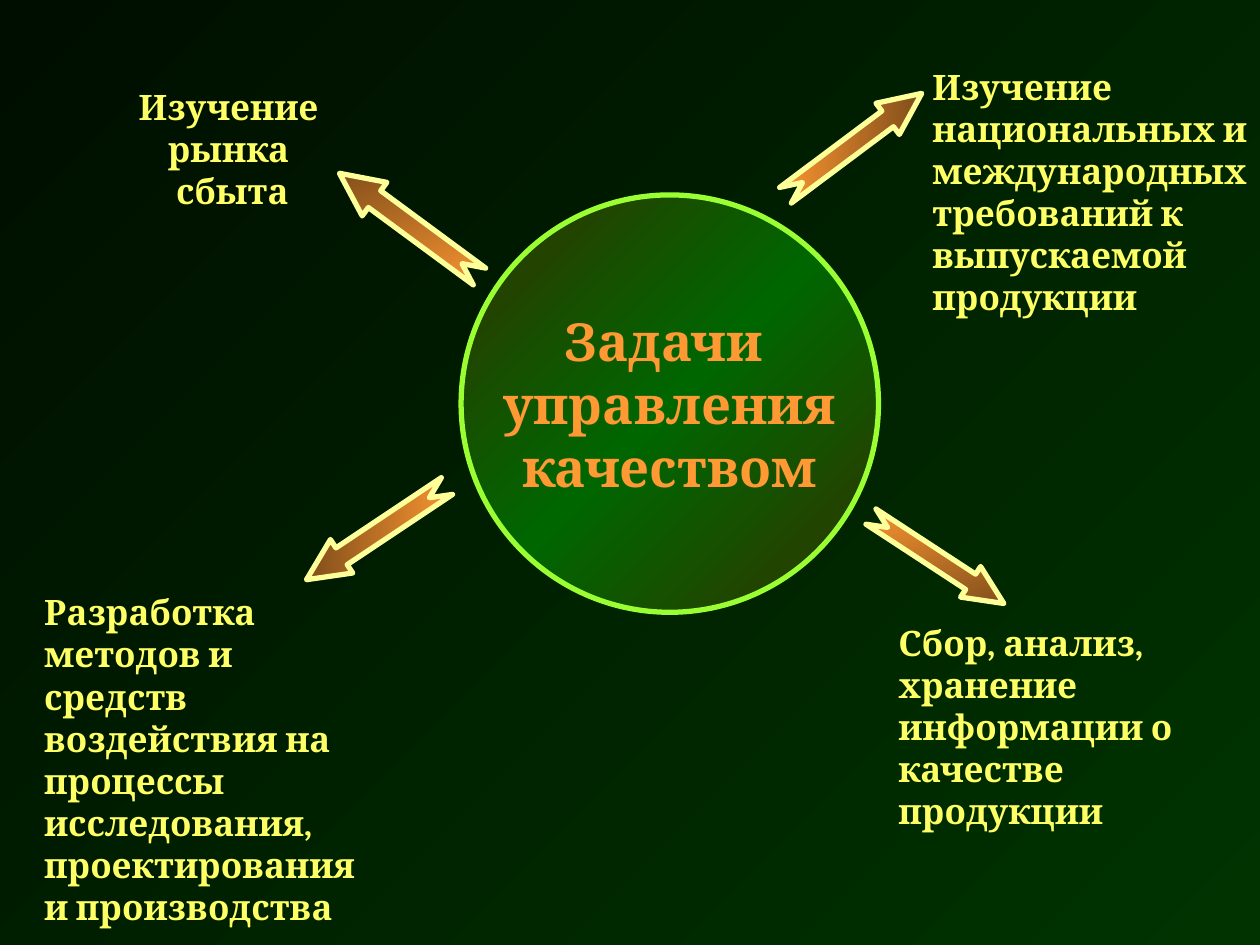
import copy

import pptx
import pptx.dml.color
import pptx.enum.shapes
import pptx.enum.text
import pptx.oxml.ns
import pptx.util

Pt = pptx.util.Pt
SHAPE = pptx.enum.shapes.MSO_SHAPE
ALIGN = pptx.enum.text.PP_ALIGN
ANCHOR = pptx.enum.text.MSO_ANCHOR

TASKS = [
    (532.8, 37.4, 187.2, 144, ALIGN.LEFT,
     ["Изучение национальных и международных требований к выпускаемой продукции"]),
    (513.4, 355, 187.2, 120, ALIGN.LEFT,
     ["Сбор, анализ, хранение информации о качестве продукции"]),
    (64.8, 49, 136, 72, ALIGN.CENTER, ["Изучение ", "рынка ", "сбыта"]),
    (25.2, 337.7, 193, 192, ALIGN.LEFT,
     ["Разработка методов и средств воздействия на процессы исследования, "
      "проектирования и производства"]),
]

ARROWS = [
    (439.2, 71.3, 97.2, 22.3, 323.2),
    (490.3, 309.6, 90.7, 20.9, 33.2),
    (184.3, 116.6, 99.4, 23.8, 216.4),
    (167, 293, 96.5, 23, 146.3),
]


def rgb(value):
    return pptx.dml.color.RGBColor.from_string(value)


def set_gradient(fill, element, colors, angle):
    fill.gradient()
    fill.gradient_angle = 360 - angle
    gs_list = next(element.iter(pptx.oxml.ns.qn("a:gsLst")))
    while len(gs_list) < len(colors):
        gs_list.append(copy.deepcopy(gs_list[-1]))
    for i, (stop, color) in enumerate(zip(fill.gradient_stops, colors)):
        stop.position = i / (len(colors) - 1)
        stop.color.rgb = rgb(color)


def set_text(tf, lines, size, color, align):
    tf.margin_left = tf.margin_top = tf.margin_right = tf.margin_bottom = 0
    tf.text = "\n".join(lines)
    for p in tf.paragraphs:
        p.alignment = align
        for r in p.runs:
            r.font.name = "Cambria"
            r.font.size = Pt(size)
            r.font.bold = True
            r.font.color.rgb = rgb(color)


def add_filled_shape(s, kind, box, colors, angle, line):
    sp = s.shapes.add_shape(kind, *map(Pt, box))
    sp.shadow.inherit = False
    set_gradient(sp.fill, sp._element, colors, angle)
    sp.line.color.rgb = rgb(line)
    sp.line.width = Pt(3)
    return sp


def add_center(s):
    sp = add_filled_shape(s, SHAPE.OVAL, (263.5, 111.4, 238.5, 238.5),
                          ["333300", "006600", "333300"], 45, "99FF33")
    tf = sp.text_frame
    set_text(tf, ["Задачи ", "управления", "качеством"], 30, "FF9933", ALIGN.CENTER)
    tf.word_wrap = False
    tf.vertical_anchor = ANCHOR.MIDDLE


def add_arrow(s, left, top, width, height, rotation):
    sp = add_filled_shape(s, SHAPE.NOTCHED_RIGHT_ARROW, (left, top, width, height),
                          ["FF9933", "764718"], 35, "FFFF99")
    sp.adjustments[0] = 0.5
    sp.adjustments[1] = 0.25 * width / height
    sp.rotation = rotation


def add_task(s, left, top, width, height, align, lines):
    sp = s.shapes.add_textbox(Pt(left), Pt(top), Pt(width), Pt(height))
    tf = sp.text_frame
    tf.word_wrap = True
    set_text(tf, lines, 20, "FFFF66", align)


def main():
    prs = pptx.Presentation()
    prs.slide_width, prs.slide_height = Pt(720), Pt(540)
    s = prs.slides.add_slide(prs.slide_layouts[6])
    set_gradient(s.background.fill, s._element, ["000E00", "003300"], 45)
    add_center(s)
    for task, arrow in zip(TASKS, ARROWS):
        add_task(s, *task)
        add_arrow(s, *arrow)
    prs.save("out.pptx")


if __name__ == "__main__":
    main()
